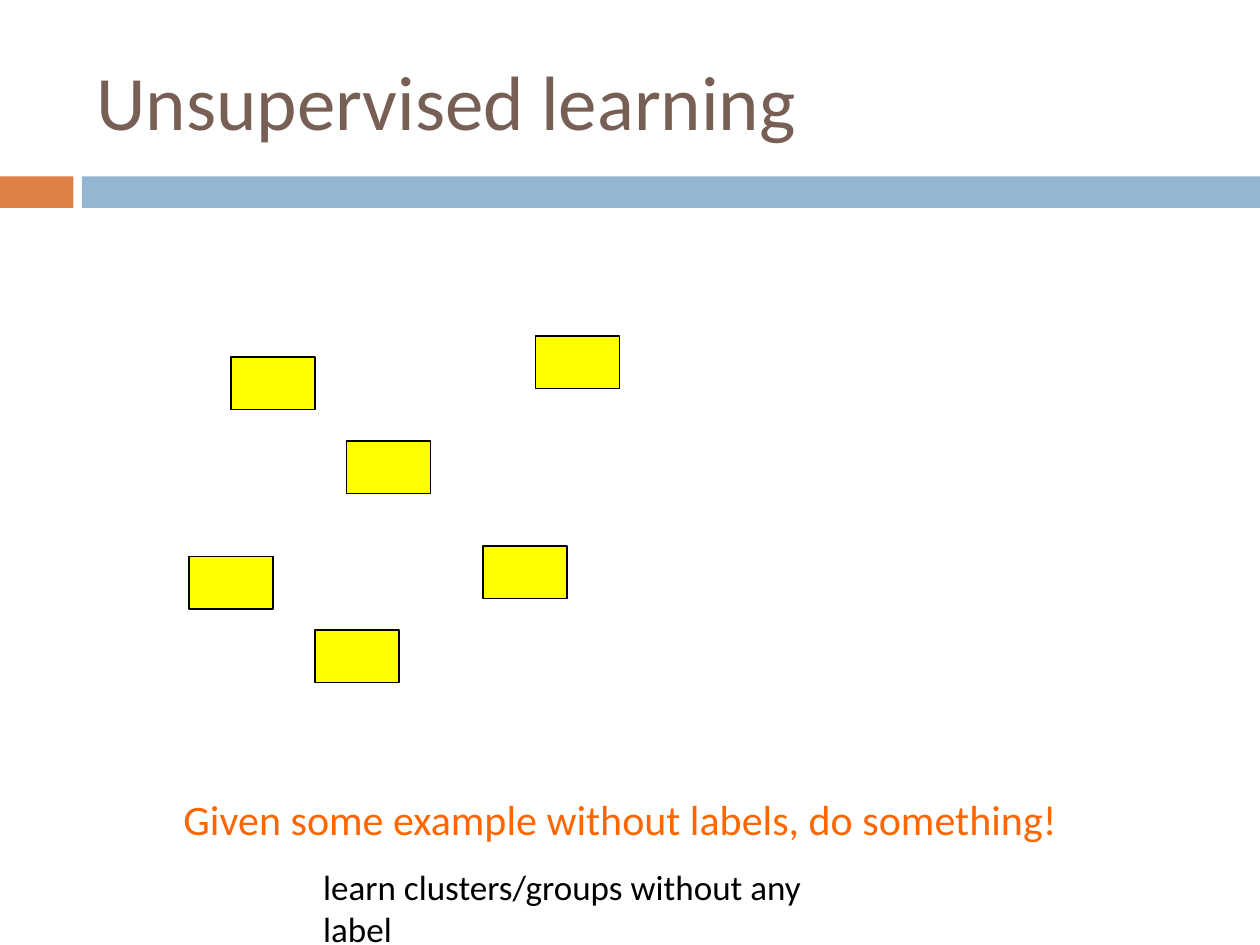
from dataclasses import dataclass

from pptx import Presentation
from pptx.dml.color import RGBColor
from pptx.enum.shapes import MSO_SHAPE
from pptx.enum.text import MSO_ANCHOR, MSO_AUTO_SIZE, PP_ALIGN
from pptx.util import Inches, Pt

RECTANGLE = MSO_SHAPE.RECTANGLE
TOP, MIDDLE = MSO_ANCHOR.TOP, MSO_ANCHOR.MIDDLE
NO_AUTO_SIZE, GROW = MSO_AUTO_SIZE.NONE, MSO_AUTO_SIZE.SHAPE_TO_FIT_TEXT
LEFT = PP_ALIGN.LEFT

# The slide is a grid of 120 columns by 90 rows.
CELL = Inches(1) // 12
COLUMNS, ROWS = 120, 90


@dataclass(frozen=True)
class Theme:
    font: str = "Calibri"
    title_size: int = 44
    prompt_size: int = 24
    answer_size: int = 20
    title: str = "775F55"
    accent: str = "DD8047"
    band: str = "94B6D2"
    example: str = "FFFF00"
    prompt: str = "FF6600"
    black: str = "000000"
    outline: float = 0.75


THEME = Theme()


def to_lengths(box):
    return [round(cells * CELL) for cells in box]


def add_rectangle(slide, box, fill, line=None):
    shape = slide.shapes.add_shape(RECTANGLE, *to_lengths(box))
    shape.shadow.inherit = False
    shape.fill.solid()
    shape.fill.fore_color.rgb = RGBColor.from_string(fill)
    if line:
        shape.line.color.rgb = RGBColor.from_string(line)
        shape.line.width = Pt(THEME.outline)
    else:
        shape.line.fill.background()


def add_text(slide, box, text, size, color, anchor=TOP, auto_size=GROW):
    frame = slide.shapes.add_textbox(*to_lengths(box)).text_frame
    frame_format = {"word_wrap": True, "auto_size": auto_size, "vertical_anchor": anchor}
    for name, value in frame_format.items():
        setattr(frame, name, value)
    paragraph = frame.paragraphs[0]
    paragraph.text = text
    paragraph.alignment = LEFT
    font = paragraph.runs[0].font
    for name, value in {"name": THEME.font, "size": Pt(size)}.items():
        setattr(font, name, value)
    font.color.rgb = RGBColor.from_string(color)


def add_header(slide, box, title):
    """Place the title above a two-coloured band at the foot of the box."""
    left, top, width, height = box
    band_height, accent_width, gap = 3, 7, 0.8
    band_top = top + height - band_height
    band_left = left + accent_width + gap
    add_rectangle(slide, (left, band_top, accent_width, band_height), THEME.accent)
    add_rectangle(slide, (band_left, band_top, left + width - band_left, band_height),
                  THEME.band)
    add_text(slide, (left + 8, top + 3, width - 13, 13), title,
             THEME.title_size, THEME.title, MIDDLE, NO_AUTO_SIZE)


def add_examples(slide, box):
    """Scatter equal unlabelled examples at offsets from the box's corner."""
    left, top, width, height = box
    example_width, example_height = width / 5, height / 6.6
    offsets = [(33, 0), (4, 2), (15, 10), (28, 20), (12, 28), (0, 21)]
    for column, row in offsets:
        add_rectangle(slide, (left + column, top + row, example_width, example_height),
                      THEME.example, THEME.black)


def add_captions(slide, box):
    left, top, width, height = box
    add_text(slide, (left, top, width, 6),
             "Given some example without labels, do something!",
             THEME.prompt_size, THEME.prompt)
    indent, answer_height = 13.3, 5.3
    add_text(slide, (left + indent, top + height - answer_height, 54.4, answer_height),
             "learn clusters/groups without any label",
             THEME.answer_size, THEME.black)


def main():
    presentation = Presentation()
    presentation.slide_width = COLUMNS * CELL
    presentation.slide_height = ROWS * CELL
    slide = presentation.slides.add_slide(presentation.slide_layouts[6])
    add_header(slide, (0, 0, COLUMNS, 19.8), "Unsupervised learning")
    add_examples(slide, (18, 32, 40, 33))
    add_captions(slide, (16.3, 75, 89.3, 12.1))
    presentation.save("out.pptx")


if __name__ == "__main__":
    main()
